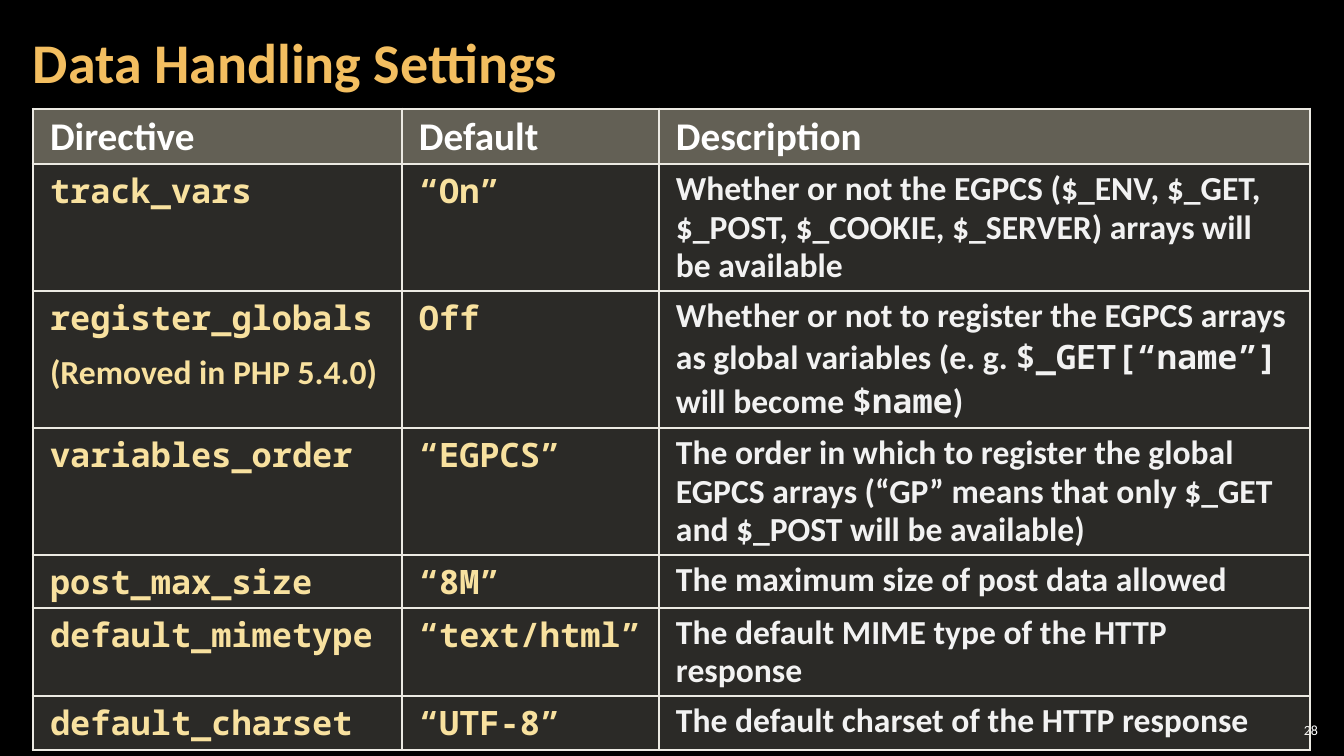
from lxml.etree import SubElement
from pptx import Presentation
from pptx.dml.color import RGBColor
from pptx.enum.text import MSO_ANCHOR, PP_ALIGN
from pptx.oxml.ns import qn
from pptx.util import Pt

BLACK = RGBColor(0x00, 0x00, 0x00)
WHITE = RGBColor(0xFF, 0xFF, 0xFF)
ORANGE = RGBColor(0xF3, 0xBE, 0x60)
YELLOW = RGBColor(0xF8, 0xE1, 0x9F)
PALE = RGBColor(0xF2, 0xF2, 0xF2)
BORDER = RGBColor(0xEC, 0xEA, 0xE3)
HEADER_FILL = RGBColor(0xC6, 0xC0, 0xAA)
BODY_FILL = RGBColor(0xD9, 0xD5, 0xC7)
SANS, MONO = "Calibri", "Noto Sans Mono"


def px(n):
    return round(n * 914400 / 100.8)


def style(r, size, color, bold=True, font=SANS):
    r.font.name = font
    r.font.size = Pt(size)
    r.font.bold = bold
    r.font.color.rgb = color


prs = Presentation()
prs.slide_width, prs.slide_height = px(1344), px(756)
s = prs.slides.add_slide(prs.slide_layouts[6])
s.background.fill.solid()
s.background.fill.fore_color.rgb = BLACK

# Slide number and title
for text, box, inset, size, color, bold, align in [
    ("28", (1275, 720, 47, 21), 4, 10, WHITE, False, PP_ALIGN.RIGHT),
    ("Data Handling Settings", (21, 4, 1055, 122), 12, 40, ORANGE, True, PP_ALIGN.LEFT),
]:
    tf = s.shapes.add_textbox(*map(px, box)).text_frame
    tf.word_wrap = True
    tf.vertical_anchor = MSO_ANCHOR.MIDDLE
    tf.margin_left = tf.margin_right = px(inset)
    tf.margin_top = tf.margin_bottom = px(4)
    tf.text = text
    p = tf.paragraphs[0]
    p.alignment = align
    p.line_spacing = 0.9
    style(p.runs[0], size, color, bold)

# Table content: backticks enclose code, a line break starts a paragraph
rows = [
    ("Directive", "Default", "Description"),
    ("`track_vars`", "`“On”`",
     "Whether or not the EGPCS ($_ENV, $_GET, $_POST, $_COOKIE, $_SERVER) "
     "arrays will be available"),
    ("`register_globals`\n(Removed in PHP 5.4.0)", "`Off`",
     "Whether or not to register the EGPCS arrays as global variables "
     "(e. g. `$_GET[“name”]` will become `$name`)"),
    ("`variables_order`", "`“EGPCS”`",
     "The order in which to register the global EGPCS arrays "
     "(“GP” means that only $_GET and $_POST will be available)"),
    ("`post_max_size`", "`“8M”`", "The maximum size of post data allowed"),
    ("`default_mimetype`", "`“text/html”`", "The default MIME type of the HTTP response"),
    ("`default_charset`", "`“UTF-8”`", "The default charset of the HTTP response"),
]
col_widths = [369, 257, 651]
row_heights = [55, 127, 137, 127, 53, 88, 54]

table = s.shapes.add_table(len(rows), len(col_widths), px(33), px(109),
                           px(sum(col_widths)), px(sum(row_heights))).table
for col, width in zip(table.columns, col_widths):
    col.width = px(width)
for row, height in zip(table.rows, row_heights):
    row.height = px(height)

for i, row in enumerate(rows):
    for j, text in enumerate(row):
        cell = table.cell(i, j)
        cell.margin_left = cell.margin_right = px(17)
        cell.margin_top = cell.margin_bottom = px(5)
        size, color = (28, WHITE) if i == 0 else (24, PALE if j == 2 else YELLOW)

        # Text
        for k, line in enumerate(text.split("\n")):
            tf = cell.text_frame
            p = tf.add_paragraph() if k else tf.paragraphs[0]
            p.line_spacing = 0.95
            if k:
                p.space_before = Pt(10)
            for n, part in enumerate(line.split("`")):
                if part:
                    r = p.add_run()
                    r.text = part
                    style(r, size, color, font=MONO if n % 2 else SANS)

        # Borders come before the fill in the cell properties
        tcPr = cell._tc.get_or_add_tcPr()
        for side in ("a:lnL", "a:lnR", "a:lnT", "a:lnB"):
            ln = SubElement(tcPr, qn(side), w=str(Pt(2.25)))
            SubElement(SubElement(ln, qn("a:solidFill")), qn("a:srgbClr"), val=str(BORDER))

        # Translucent fill
        cell.fill.solid()
        cell.fill.fore_color.rgb = BODY_FILL if i else HEADER_FILL
        clr = tcPr.find(qn("a:solidFill")).find(qn("a:srgbClr"))
        SubElement(clr, qn("a:alpha"), val="20000" if i else "50000")

prs.save("out.pptx")
